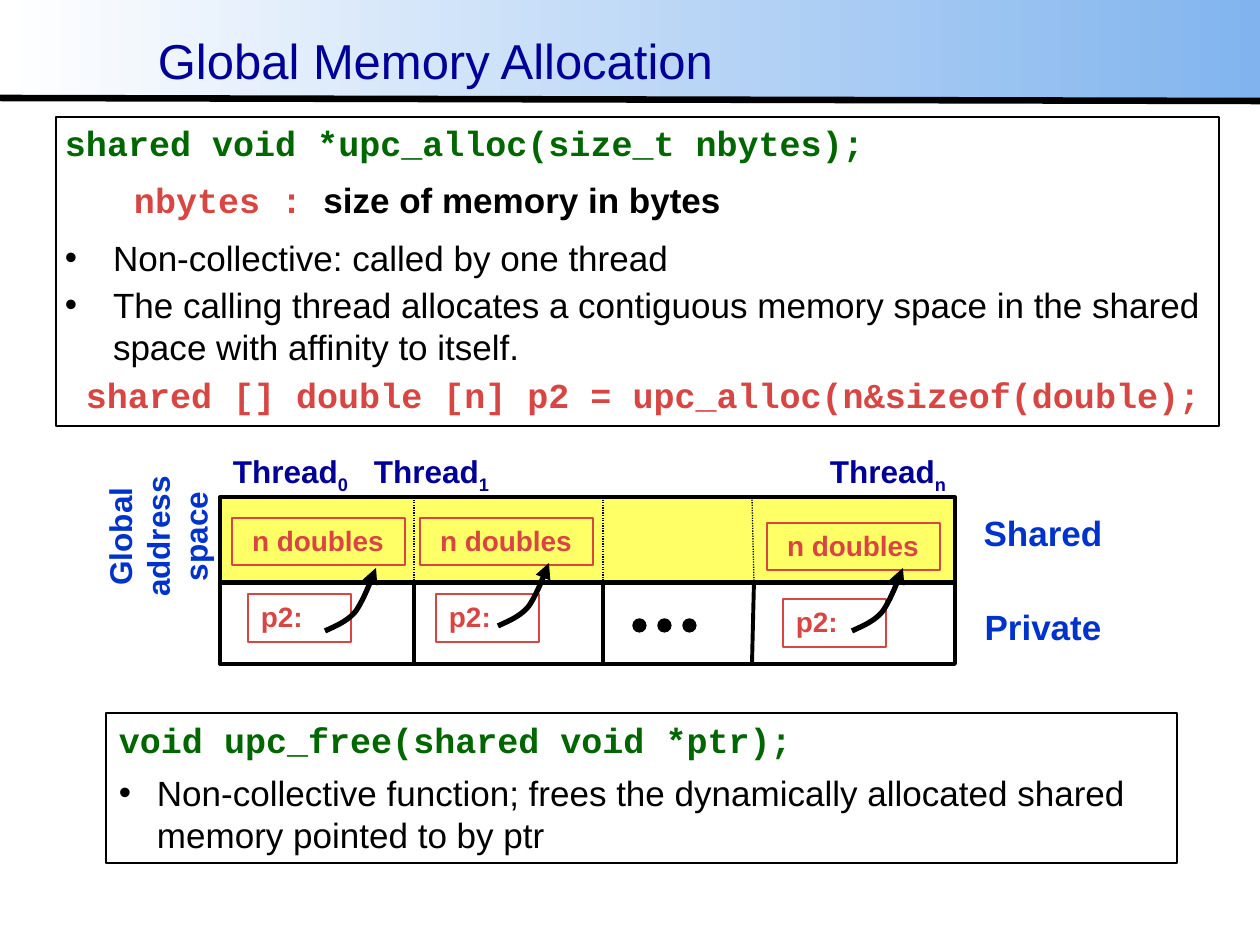
from lxml import etree
from pptx import Presentation
from pptx.dml.color import RGBColor
from pptx.enum.dml import MSO_LINE
from pptx.enum.shapes import MSO_CONNECTOR, MSO_SHAPE
from pptx.enum.text import MSO_ANCHOR, PP_ALIGN
from pptx.oxml.ns import qn
from pptx.util import Pt

RECT, OVAL = MSO_SHAPE.RECTANGLE, MSO_SHAPE.OVAL
STRAIGHT = MSO_CONNECTOR.STRAIGHT
DOTTED = MSO_LINE.ROUND_DOT
TOP, MIDDLE = MSO_ANCHOR.TOP, MSO_ANCHOR.MIDDLE
LEFT, CENTER = PP_ALIGN.LEFT, PP_ALIGN.CENTER
SCALE = 914400 / 126
BLACK, NAVY, BLUE = "000000", "000099", "0033CC"
GREEN, RED, YELLOW = "006600", "D74643", "FFFF66"
SANS, MONO = "Arial", "Courier New"
ARROW_CURVE = [(0, 0), (11, -5), (23, -10), (31, -20), (39, -32), (45, -48), (51, -63)]


def px(n):
    return round(n * SCALE)


def rgb(color):
    return RGBColor.from_string(color)


def set_line(sp, color, width):
    sp.line.color.rgb = rgb(color)
    sp.line.width = Pt(width)


def add_box(slide, x, y, w, h, fill=None, line=BLACK, width=0.75, kind=RECT):
    sp = slide.shapes.add_shape(kind, px(x), px(y), px(w), px(h))
    sp.shadow.inherit = False
    if fill:
        sp.fill.solid()
        sp.fill.fore_color.rgb = rgb(fill)
    else:
        sp.fill.background()
    set_line(sp, line, width)
    return sp


def add_line(slide, x1, y1, x2, y2, width, dash=None):
    cx = slide.shapes.add_connector(STRAIGHT, px(x1), px(y1), px(x2), px(y2))
    set_line(cx, BLACK, width)
    if dash:
        cx.line.dash_style = dash
    etree.SubElement(cx._element.spPr, qn("a:effectLst"))


def set_frame(sp, insets=(13, 6, 13, 6), anchor=TOP):
    tf = sp.text_frame
    tf.margin_left, tf.margin_top, tf.margin_right, tf.margin_bottom = map(px, insets)
    tf.vertical_anchor = anchor
    tf.word_wrap = True
    return tf


def add_text(slide, x, y, w, h, **frame):
    sp = slide.shapes.add_textbox(px(x), px(y), px(w), px(h))
    return sp, set_frame(sp, **frame)


def add_run(p, text, size, color, font=SANS, bold=True):
    r = p.add_run()
    r.text = text
    r.font.size = Pt(size)
    r.font.name = font
    r.font.bold = bold
    r.font.color.rgb = rgb(color)
    return r


def add_paragraph(tf, runs, size=20, before=0, after=0, indent=0, bullet=False, align=LEFT):
    p = tf.paragraphs[0] if not tf.paragraphs[0].runs else tf.add_paragraph()
    p.alignment = align
    p.space_before, p.space_after = Pt(before), Pt(after)
    pPr = p._p.get_or_add_pPr()
    pPr.set("marL", str(px(indent)))
    pPr.set("indent", str(px(-indent if bullet else 0)))
    if bullet:
        etree.SubElement(pPr, qn("a:buFont"), typeface=SANS)
        etree.SubElement(pPr, qn("a:buChar"), char="•")
    for run in runs:
        add_run(p, run[0], size, *run[1:])
    return p


def add_label(slide, x, y, w, h, text, size, rotation=0, **frame):
    sp, tf = add_text(slide, x, y, w, h, **frame)
    add_paragraph(tf, [(text, BLUE)], size, align=CENTER)
    sp.rotation = rotation


def bezier(p0, p1, p2, p3, steps=16):
    for i in range(1, steps + 1):
        t = i / steps
        u = 1 - t
        yield tuple(u**3 * a + 3 * u * u * t * b + 3 * u * t * t * c + t**3 * d
                    for a, b, c, d in zip(p0, p1, p2, p3))


def add_curved_arrow(slide, x, y):
    points = [(px(x + dx), px(y + dy)) for dx, dy in ARROW_CURVE]
    fb = slide.shapes.build_freeform(*points[0])
    for i in (0, 3):
        fb.add_line_segments(list(bezier(*points[i:i + 4])), close=False)
    sp = fb.convert_to_shape()
    sp.shadow.inherit = False
    sp.fill.background()
    set_line(sp, BLACK, 3)
    etree.SubElement(sp.line._get_or_add_ln(), qn("a:tailEnd"), type="triangle")


def add_allocation(slide, x, y, arrow_x, arrow_y):
    for dx, dy, w, h, text, inset in ((0, 0, 173, 47, "n doubles", 20),
                                      (16, 76, 103, 48, "p2:", 13)):
        sp = add_box(slide, x + dx, y + dy, w, h, line=RED, width=1)
        tf = set_frame(sp, (inset, 6, 13, 6))
        add_paragraph(tf, [(text, RED)], 16)
    add_curved_arrow(slide, arrow_x, arrow_y)


def add_header(slide):
    band = add_box(slide, 0, 0, 1260, 101)
    band.line.fill.background()
    band.fill.gradient()
    band.fill.gradient_angle = 0
    for stop, color in zip(band.fill.gradient_stops, ("FFFFFF", "81B4EE")):
        stop.color.rgb = rgb(color)
    add_line(slide, 0, 98, 1260, 101, 3.75)
    _, tf = add_text(slide, 149, 35, 1071, 88, insets=(9, 4, 9, 4))
    p = add_paragraph(tf, [("Global Memory Allocation", NAVY, SANS, False)], 28)
    p.line_spacing = 0.87


def add_alloc_box(slide):
    tf = set_frame(add_box(slide, 56, 117, 1163, 309), (9, 4, 9, 4))
    add_paragraph(tf, [("shared void *upc_alloc(size_t nbytes);", GREEN, MONO)], after=6)
    add_paragraph(tf, [("nbytes : ", RED, MONO), ("size of memory in bytes", BLACK)],
                  before=3, after=6, indent=69)
    for text in ("Non-collective: called by one thread",
                 "The calling thread allocates a contiguous memory space in the shared "
                 "space with affinity to itself."):
        add_paragraph(tf, [(text, BLACK, SANS, False)], before=3, indent=48, bullet=True)
    add_paragraph(tf, [("shared [] double [n] p2 = upc_alloc(n&sizeof(double);", RED, MONO)],
                  before=3, indent=21)


def add_free_box(slide):
    tf = set_frame(add_box(slide, 106, 713, 1071, 150))
    add_paragraph(tf, [("void upc_free(shared void *ptr);", GREEN, MONO)], after=6)
    add_paragraph(tf, [("Non-collective function; frees the dynamically allocated shared "
                        "memory pointed to by ptr", BLACK, SANS, False)],
                  indent=38, bullet=True)


def add_thread_name(slide, x, index):
    _, tf = add_text(slide, x, 446, 150, 50)
    p = add_paragraph(tf, [("Thread", NAVY)], 18)
    r = add_run(p, index, 18, NAVY)
    r.font._element.set("baseline", "-25000")


def add_memory_map(slide):
    add_box(slide, 220, 497, 735, 86, YELLOW, width=2.25)
    add_box(slide, 220, 582, 735, 82, width=2.25)
    for top, middle, bottom in ((414, 414, 414), (603, 603, 603), (752, 754, 752)):
        add_line(slide, top, 497, middle, 582, 0.75, DOTTED)
        add_line(slide, middle, 582, bottom, 664, 2.25)
    for i in range(3):
        add_box(slide, 633 + 25 * i, 619, 13, 13, BLACK, kind=OVAL)
    add_label(slide, 78, 473, 160, 127, "Global address space", 18, rotation=270)
    for y, text in ((501, "Shared"), (595, "Private")):
        add_label(slide, 963, y, 160, 63, text, 20, anchor=MIDDLE)
    for x, index in ((220, "0"), (361, "1"), (817, "n")):
        add_thread_name(slide, x, index)
    for place in ((232, 518, 325, 631), (420, 518, 498, 626), (767, 523, 852, 631)):
        add_allocation(slide, *place)


def main():
    prs = Presentation()
    prs.slide_width, prs.slide_height = px(1260), px(945)
    slide = prs.slides.add_slide(prs.slide_layouts[6])
    add_header(slide)
    add_alloc_box(slide)
    add_free_box(slide)
    add_memory_map(slide)
    prs.save("out.pptx")


if __name__ == "__main__":
    main()
